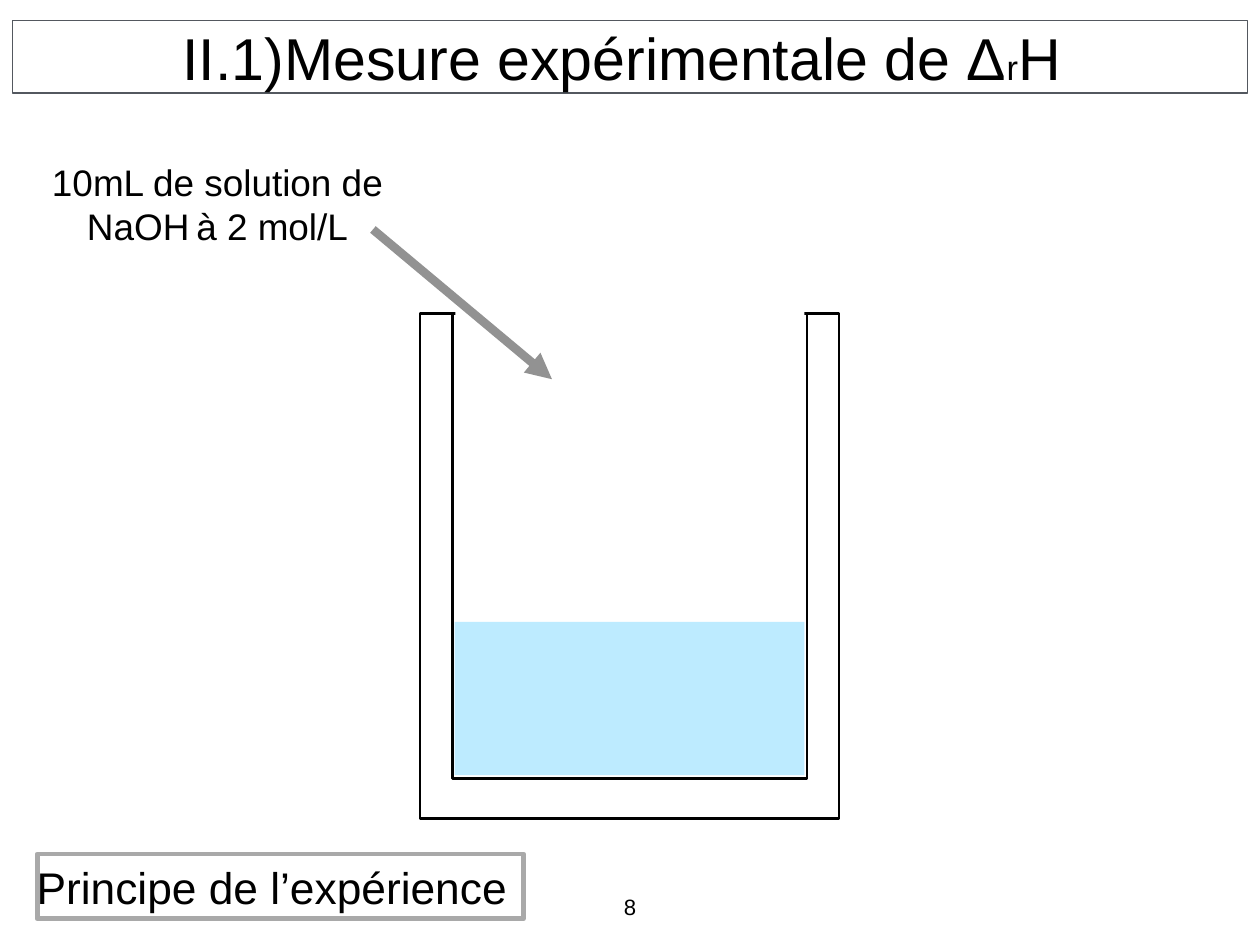
import pptx
import pptx.util
import pptx.dml.color
import pptx.enum.shapes
import pptx.enum.text
import pptx.oxml
import pptx.oxml.ns
from dataclasses import dataclass

Pt = pptx.util.Pt
Anchor = pptx.enum.text.MSO_ANCHOR
Align = pptx.enum.text.PP_ALIGN


@dataclass(frozen=True)
class Theme:
    font: str = "Arial"
    ink: str = "000000"
    paper: str = "FFFFFF"
    frame: str = "53585F"
    border: str = "A9A9A9"
    arrow: str = "929292"
    water: str = "76D6FF"
    title: int = 48
    index: int = 28
    head: int = 36
    body: int = 30
    gap: int = 20
    page: int = 18


THEME = Theme()


def color(code):
    return pptx.dml.color.RGBColor.from_string(code)


def outline(item, code, width):
    item.line.color.rgb = color(code)
    item.line.width = Pt(width)


def write(shape, *runs, inset=(0, 0, 0, 0), anchor=Anchor.MIDDLE, wrap=True):
    """Fill a shape with one centred paragraph of (text, size) runs."""
    frame = shape.text_frame
    frame.auto_size = pptx.enum.text.MSO_AUTO_SIZE.NONE
    frame.word_wrap = wrap
    frame.vertical_anchor = anchor
    (frame.margin_left, frame.margin_top,
     frame.margin_right, frame.margin_bottom) = map(Pt, inset)
    para = frame.paragraphs[0]
    para.alignment = Align.CENTER
    for text, size in runs:
        run = para.add_run()
        run.text = text
        run.font.name = THEME.font
        run.font.size = Pt(size)
        run.font.color.rgb = color(THEME.ink)


def title(slide, box, *runs):
    shape = slide.shapes.title
    shape.left, shape.top, shape.width, shape.height = map(Pt, box)
    outline(shape, THEME.frame, 1)
    write(shape, *runs)


def label(slide, box, *runs, **style):
    write(slide.shapes.add_textbox(*map(Pt, box)), *runs, **style)


def rect(shapes, box, fill=None, line=None, width=2, alpha=None):
    kind = pptx.enum.shapes.MSO_SHAPE.RECTANGLE
    shape = shapes.add_shape(kind, *map(Pt, box))
    shape.shadow.inherit = False
    if fill:
        shape.fill.solid()
        shape.fill.fore_color.rgb = color(fill)
    else:
        shape.fill.background()
    if line:
        outline(shape, line, width)
    else:
        shape.line.fill.background()
    if alpha:
        tint = shape.fill._xPr.find(".//" + pptx.oxml.ns.qn("a:srgbClr"))
        add(tint, "alpha", val=str(alpha * 1000))
    return shape


def add(node, tag, **attrs):
    """Append a drawing element to an XML node."""
    child = pptx.oxml.parse_xml(
        f"<a:{tag} {pptx.oxml.ns.nsdecls('a')}/>")
    for key, value in attrs.items():
        child.set(key, value)
    node.append(child)


def arrow(slide, start, end):
    kind = pptx.enum.shapes.MSO_CONNECTOR.STRAIGHT
    link = slide.shapes.add_connector(kind, *map(Pt, start + end))
    outline(link, THEME.arrow, 7)
    add(link.line._get_or_add_ln(), "tailEnd", type="triangle")
    add(link._element.spPr, "effectLst")


def vessel(slide):
    """Draw the open calorimeter, partly filled with solution."""
    shapes = slide.shapes.add_group_shape().shapes
    rect(shapes, (341.3, 254.9, 340.6, 410.4), line=THEME.ink)
    rect(shapes, (367.9, 254.9, 288, 378), line=THEME.ink)
    rect(shapes, (369.4, 505.4, 284.4, 124.6), fill=THEME.water, alpha=48)
    rect(shapes, (370.1, 210.2, 283.7, 100.1), fill=THEME.paper)


def main():
    deck = pptx.Presentation()
    deck.slide_width, deck.slide_height = Pt(1024), Pt(768)
    slide = deck.slides.add_slide(deck.slide_layouts[5])

    title(slide, (10, 16.6, 1003.7, 59),
          ("II.1)Mesure expérimentale de Δ", THEME.title),
          ("r", THEME.index), ("H ", THEME.title))
    label(slide, (502.6, 725.8, 18.7, 22.3), ("8", THEME.page),
          anchor=Anchor.TOP, wrap=False)
    label(slide, (11.5, 128.2, 330.5, 74.9),
          ("10mL de solution de NaOH", THEME.body), (" ", THEME.gap),
          ("à 2 mol/L", THEME.body), inset=(4, 4, 4, 4))
    caption = rect(slide.shapes, (30.2, 694.1, 395.3, 52.6),
                   line=THEME.border, width=4)
    write(caption, ("Principe de l’expérience", THEME.head),
          inset=(0, 0, 14, 0), wrap=False)
    vessel(slide)
    arrow(slide, (303.1, 186.5), (448.6, 308.2))

    deck.save("out.pptx")


if __name__ == "__main__":
    main()
